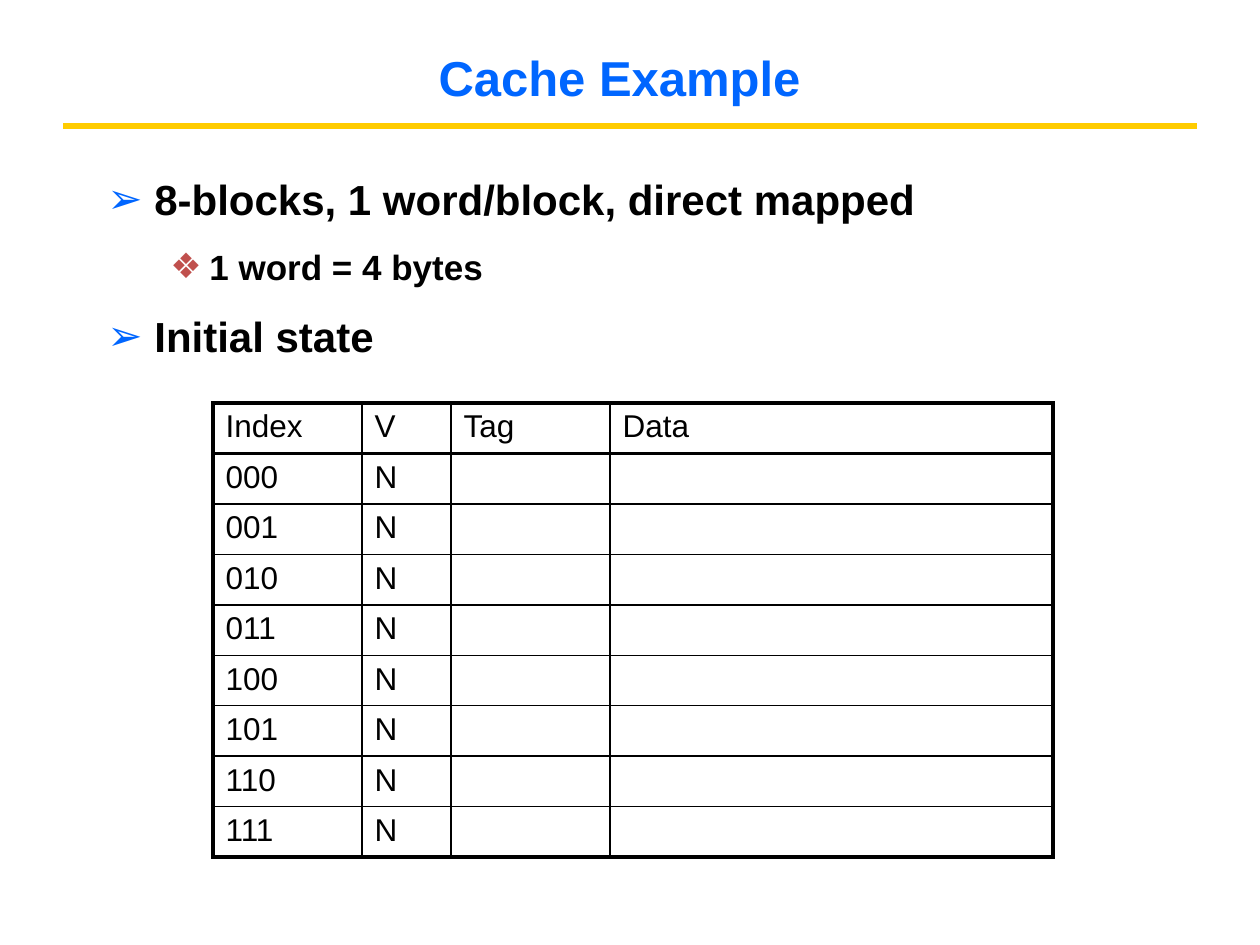
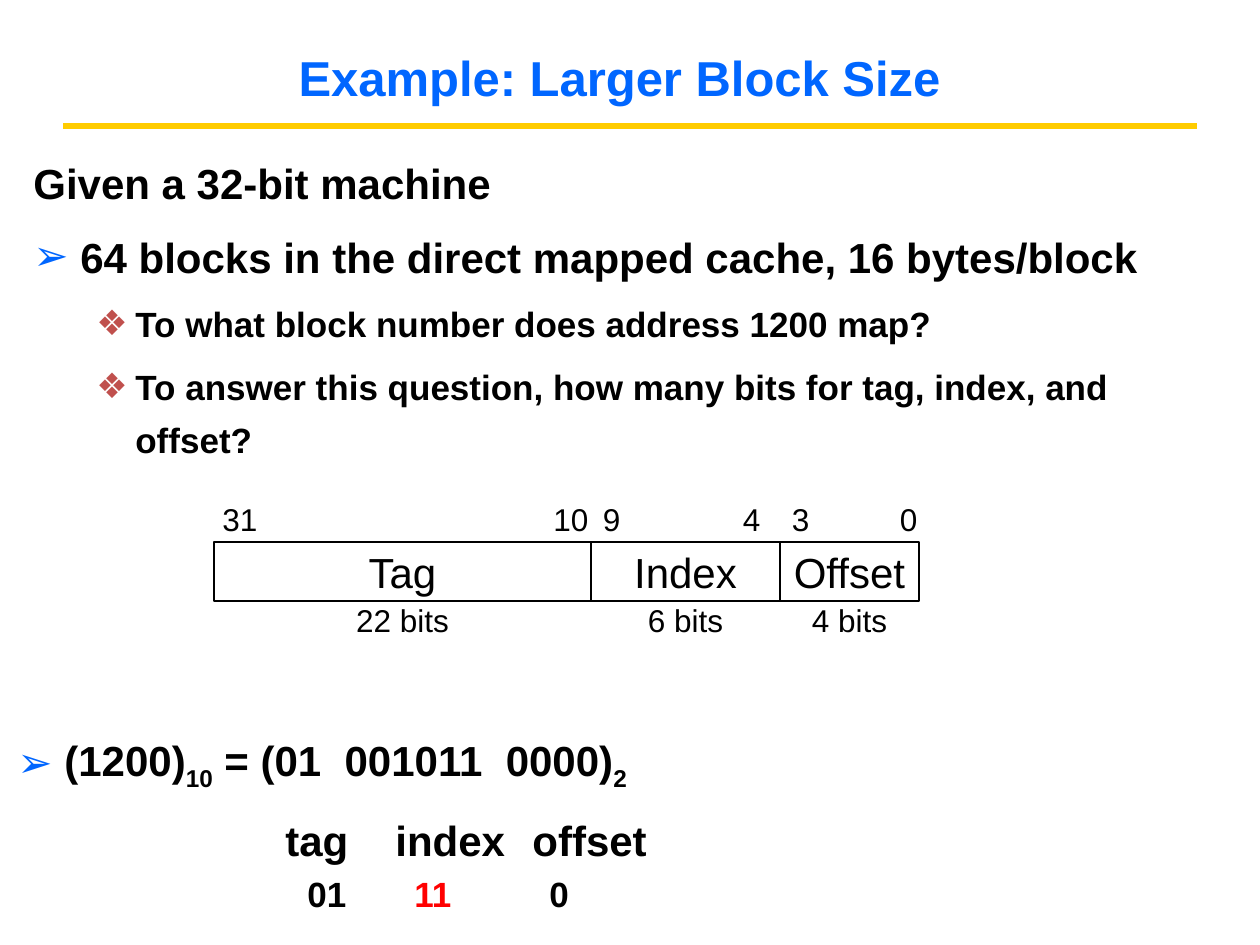
from pptx import Presentation
from pptx.dml.color import RGBColor
from pptx.enum.shapes import MSO_CONNECTOR, MSO_SHAPE
from pptx.enum.text import MSO_ANCHOR, PP_ALIGN
from pptx.oxml.ns import qn
from pptx.util import Emu, Pt
from lxml.etree import SubElement

FONT = "Arial"
BLACK, BLUE, GOLD, BRICK, RED = "000000", "0066FF", "FFCC00", "C0504D", "FF0000"
# Outline levels: text size, left margin, hanging indent, bullet, bullet colour
PLAIN = (24, 0, 0, None, None)
POINT = (24, 47, 47, "➢", BLUE)
DETAIL = (20, 102, 39, "❖", BRICK)


def px(length):
    return Emu(round(length * 914400 / 126))


def color(value):
    return RGBColor.from_string(value)


def set_font(font, size, value=BLACK, bold=False):
    font.name, font.size, font.bold = FONT, Pt(size), bold
    font.color.rgb = color(value)


def add_text(page, box, text, size, value=BLACK, bold=False, wrap=True):
    """Centred one-paragraph text box."""
    shape = page.shapes.add_textbox(*map(px, box))
    frame = shape.text_frame
    frame.word_wrap = wrap
    para = frame.paragraphs[0]
    para.text = text
    para.alignment = PP_ALIGN.CENTER
    set_font(para.font, size, value, bold)
    return frame


def add_title(page, text):
    frame = add_text(page, (21, 38, 1197, 78), text, 28, BLUE, True)
    frame.vertical_anchor = MSO_ANCHOR.MIDDLE
    rule = page.shapes.add_connector(
        MSO_CONNECTOR.STRAIGHT, px(63), px(126), px(1197), px(126))
    rule.line.color.rgb = color(GOLD)
    rule.line.width = Pt(3)
    SubElement(rule._element.spPr, qn("a:effectLst"))


def add_properties(para, parts):
    """Put paragraph properties ahead of the paragraph's font."""
    properties = para._p.get_or_add_pPr()
    font = properties.find(qn("a:defRPr"))
    for part in parts:
        font.addprevious(part)


def add_bullet(para, margin, hang, char, value):
    properties = para._p.get_or_add_pPr()
    properties.set("marL", str(px(margin)))
    properties.set("indent", str(-px(hang)))
    tint = SubElement(properties, qn("a:buClr"))
    SubElement(tint, qn("a:srgbClr"), val=value)
    face = SubElement(properties, qn("a:buFont"), typeface=FONT)
    mark = SubElement(properties, qn("a:buChar"), char=char)
    add_properties(para, (tint, face, mark))


def add_tabs(para, stops):
    tabs = SubElement(para._p.get_or_add_pPr(), qn("a:tabLst"))
    for stop in stops:
        SubElement(tabs, qn("a:tab"), pos=str(px(stop)), algn="l")
    add_properties(para, (tabs,))


def add_outline(page, box, items):
    """Bold outline from (level, text) pairs; returns its paragraphs."""
    frame = page.shapes.add_textbox(*map(px, box)).text_frame
    frame.word_wrap = True
    paras = []
    for level, text in items:
        para = frame.add_paragraph() if paras else frame.paragraphs[0]
        size, margin, hang, char, value = level
        para.text = text
        para.line_spacing = 1.25
        para.space_before = Pt(6)
        set_font(para.font, size, bold=True)
        if char:
            add_bullet(para, margin, hang, char, value)
        paras.append(para)
    return paras


def set_borders(cell, widths):
    """Black borders, widths in points: left, right, top, bottom."""
    properties = cell._tc.get_or_add_tcPr()
    for place, (side, width) in enumerate(zip("LRTB", widths)):
        line = SubElement(properties, qn("a:ln" + side), w=str(Pt(width)))
        fill = SubElement(line, qn("a:solidFill"))
        SubElement(fill, qn("a:srgbClr"), val=BLACK)
        properties.insert(place, line)


def add_cache_table(page, box, widths, rows):
    last_row, last_column = len(rows) - 1, len(widths) - 1
    table = page.shapes.add_table(len(rows), len(widths), *map(px, box)).table
    table.first_row = table.horz_banding = False
    for column, width in zip(table.columns, widths):
        column.width = px(width)
    for r, row in enumerate(rows):
        table.rows[r].height = px(box[3] / len(rows))
        for c, text in enumerate(row):
            cell = table.cell(r, c)
            cell.fill.background()
            para = cell.text_frame.paragraphs[0]
            para.text = text
            set_font(para.font, 18)
            set_borders(cell, (
                2.25 if c == 0 else 1,
                2.25 if c == last_column else 1,
                {0: 2.25, 1: 1.5}.get(r, 1),
                {0: 1.5, last_row: 2.25}.get(r, 1)))


def add_address_fields(page, left, top, height):
    """Row of fields with bit numbers above and bit counts below."""
    # Name, width, bit count, then (bit, offset of its label in the field)
    fields = (
        ("Tag", 377, "22 bits", (("31", -4), ("10", 327))),
        ("Index", 189, "6 bits", (("9", -1), ("4", 139))),
        ("Offset", 139, "4 bits", (("3", -1), ("0", 107))),
    )
    for name, width, count, bits in fields:
        field = page.shapes.add_shape(
            MSO_SHAPE.RECTANGLE, px(left), px(top), px(width), px(height))
        field.shadow.inherit = False
        field.fill.background()
        field.line.color.rgb = color(BLACK)
        field.line.width = Pt(1.5)
        frame = field.text_frame
        frame.word_wrap = False
        frame.vertical_anchor = MSO_ANCHOR.MIDDLE
        para = frame.paragraphs[0]
        para.text = name
        para.alignment = PP_ALIGN.CENTER
        set_font(para.font, 24)
        for bit, offset in bits:
            box = (left + offset, top - 48, 26 + 17 * len(bit), 50)
            add_text(page, box, bit, 18, wrap=False)
        add_text(page, (left, top + height - 6, width, 50), count, 18, wrap=False)
        left += width


def add_answer(page, box):
    """Binary form of the address, with its parts lined up on tab stops."""
    equation, names, values = add_outline(page, box, (
        (POINT, ""), (PLAIN, "\ttag\tindex\toffset"), (PLAIN, "")))
    for text, lowered in (("(1200)", False), ("10", True),
                          (" = (01  001011  0000)", False), ("2", True)):
        span = equation.add_run()
        span.text = text
        if lowered:
            span._r.get_or_add_rPr().set("baseline", "-25000")
    add_tabs(names, (268, 378, 515))
    for text, value in (("\t01\t", BLACK), ("11", RED), ("\t0", BLACK)):
        span = values.add_run()
        span.text = text
        span.font.color.rgb = color(value)
    values.font.size = Pt(20)
    values.line_spacing = 1.0
    values.space_before = Pt(4)
    add_tabs(values, (290, 397, 532))


def build_cache_slide(page):
    add_title(page, "Cache Example")
    add_outline(page, (95, 155, 1140, 184), (
        (POINT, "8-blocks, 1 word/block, direct mapped"),
        (DETAIL, "1 word = 4 bytes"),
        (POINT, "Initial state")))
    rows = [("Index", "V", "Tag", "Data")]
    rows += [(f"{index:03b}", "N", "", "") for index in range(8)]
    add_cache_table(page, (213, 403, 840, 454), (149, 89, 159, 443), rows)


def build_block_size_slide(page):
    add_title(page, "Example: Larger Block Size")
    add_outline(page, (21, 139, 1213, 388), (
        (PLAIN, "Given a 32-bit machine"),
        (POINT, "64 blocks in the direct mapped cache, 16 bytes/block"),
        (DETAIL, "To what block number does address 1200 map?"),
        (DETAIL, "To answer this question, how many bits for tag, index, "
                 "and offset?")))
    add_address_fields(page, 214, 542, 59)
    add_answer(page, (5, 714, 1213, 210))


deck = Presentation()
deck.slide_width, deck.slide_height = px(1260), px(945)
for build in (build_cache_slide, build_block_size_slide):
    build(deck.slides.add_slide(deck.slide_layouts[6]))
deck.save("out.pptx")
